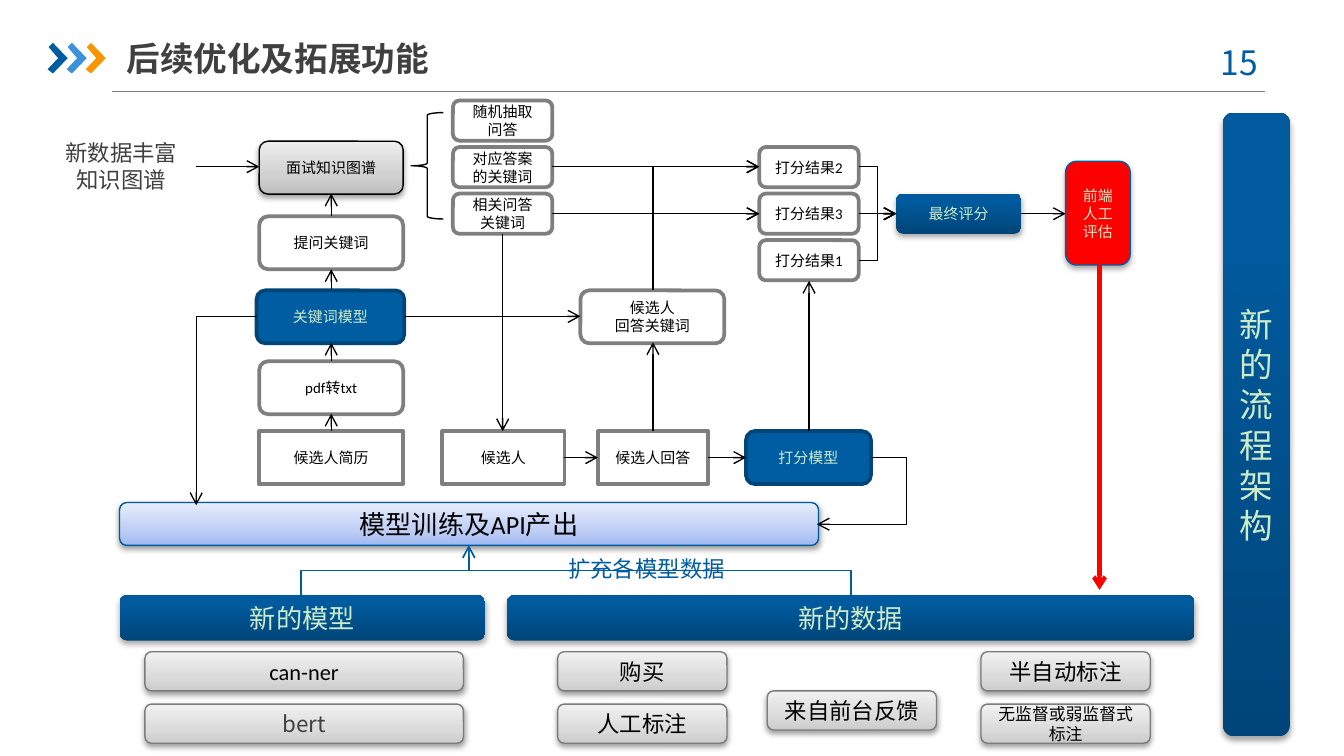
from lxml.etree import SubElement as Sub
from pptx import Presentation as Deck
from pptx.dml.color import RGBColor as RGB
from pptx.enum.shapes import MSO_CONNECTOR as Link, MSO_SHAPE as Form
from pptx.enum.text import MSO_ANCHOR as Anchor, MSO_AUTO_SIZE as Fit, PP_ALIGN as Align
from pptx.oxml.ns import qn
from pptx.util import Cm, Pt


class Theme:
    white, black, pale, dark = "FFFFFF", "000000", "CDEBC8", "404040"
    blue, navy, sky, gold = "005DA2", "004578", "3992DB", "F79600"
    edge, gray, rule, rim, red = "005B9E", "7F7F7F", "808080", "7C7C7C", "FF0000"
    deep = [(0, "004579"), (80, "005A9D"), (100, "005B9E")]
    ice = [(0, "A2BAF2"), (35, "BFCEF4"), (100, "E6ECFC")]
    mist = [(0, "CCCCCC"), (35, "DBDBDB"), (100, "F1F1F1")]
    steel = [(0, "BDBDBD"), (35, "D1D1D1"), (100, "EEEEEE")]
    latin, asian = "Calibri", "Noto Sans CJK SC"
    head, band, item, note, node = 18, 14, 12, 9, 8


def write(frame, text, size, ink, face, align=Align.CENTER, bold=False):
    frame.word_wrap = True
    for i, line in enumerate(text.split("\n")):
        para = frame.paragraphs[0] if i == 0 else frame.add_paragraph()
        para.alignment = align
        run = para.add_run()
        run.text = line
        font = run.font
        font.size, font.bold, font.name = Pt(size), bold, face
        font.color.rgb = RGB.from_string(ink)
        Sub(font._element, qn("a:ea"), typeface=Theme.asian)


def wire(start, end, turn="", adj=None, ink=Theme.black, wide=0.75, tip=True):
    (x1, y1), (x2, y2) = start, end
    if "up" in turn:
        mx, my, dx, dy = (x1 + x2) / 2, (y1 + y2) / 2, x2 - x1, y1 - y2
        x1, y1, x2, y2 = mx - dy / 2, my - dx / 2, mx + dy / 2, my + dx / 2
    kind = Link.ELBOW if turn else Link.STRAIGHT
    line = shapes.add_connector(kind, Cm(x1), Cm(y1), Cm(x2), Cm(y2))
    line.line.color.rgb = RGB.from_string(ink)
    line.line.width = Pt(wide)
    prop = line._element.spPr
    if tip:
        Sub(prop.find(qn("a:ln")), qn("a:tailEnd"), type="arrow")
    Sub(prop, qn("a:effectLst"))
    geom = prop.find(qn("a:prstGeom"))
    if "up" in turn:
        prop.find(qn("a:xfrm")).set("rot", "16200000")
    if "2" in turn:
        geom.set("prst", "bentConnector2")
    if adj is not None:
        Sub(geom.find(qn("a:avLst")), qn("a:gd"), name="adj1", fmla=f"val {adj}")


deck = Deck()
deck.slide_width, deck.slide_height = Cm(25.4), Cm(14.29)
slide = deck.slides.add_slide(deck.slide_layouts[5])
shapes = slide.shapes
slide.background.fill.solid()
slide.background.fill.fore_color.rgb = RGB.from_string(Theme.white)

title = shapes.title
title.left, title.top, title.width, title.height = Cm(2.39), Cm(0.56), Cm(14.96), Cm(1.07)
frame = title.text_frame
frame.auto_size, frame.vertical_anchor = Fit.NONE, Anchor.MIDDLE
frame.margin_left = frame.margin_right = 0
frame.margin_top = frame.margin_bottom = Cm(0.13)
write(frame, "后续优化及拓展功能", Theme.head, Theme.dark, Theme.asian, Align.LEFT, True)

wire((2.11, 1.73), (23.9, 1.73), ink=Theme.rule, tip=False)

arrow = [(0.02, 0.08), (0.1, 0), (0.38, 0.29), (0.1, 0.58), (0, 0.5), (0.2, 0.29)]
for i, ink in enumerate([Theme.blue, Theme.sky, Theme.gold]):
    spots = [(Cm(0.9 + 0.36 * i + x), Cm(0.81 + y)) for x, y in arrow]
    pen = shapes.build_freeform(*spots[0])
    pen.add_line_segments(spots[1:], close=True)
    mark = pen.convert_to_shape()
    mark.shadow.inherit = False
    mark.fill.solid()
    mark.fill.fore_color.rgb = RGB.from_string(ink)
    mark.line.fill.background()

looks = {
    "plain": (Form.ROUNDED_RECTANGLE, Theme.white, Theme.gray, 2, None, Theme.black),
    "sharp": (Form.RECTANGLE, Theme.white, Theme.gray, 2, None, Theme.black),
    "model": (Form.ROUNDED_RECTANGLE, Theme.blue, Theme.navy, 2, None, Theme.pale),
    "deep": (Form.ROUNDED_RECTANGLE, Theme.deep, None, 0, (35, 23000), Theme.pale),
    "ice": (Form.ROUNDED_RECTANGLE, Theme.ice, Theme.edge, 0.75, (38, 20000), Theme.black),
    "mist": (Form.ROUNDED_RECTANGLE, Theme.mist, Theme.rim, 0.75, (38, 20000), Theme.black),
    "steel": (Form.ROUNDED_RECTANGLE, Theme.steel, Theme.black, 0.75, (38, 20000), Theme.black),
    "alert": (Form.ROUNDED_RECTANGLE, Theme.red, Theme.blue, 0.75, (35, 23000), Theme.pale),
    "brace": (Form.LEFT_BRACE, None, Theme.black, 0.75, None, Theme.black),
}
band, item, note, node = Theme.band, Theme.item, Theme.note, Theme.node
rows = [1.9 + 0.88 * i for i in range(4)]
boxes = [
    ("模型训练及API产出", "ice", band, 2.26, 9.5, 13.21, 0.81),
    ("新的数据", "deep", band, 9.58, 11.25, 13, 0.86),
    ("新的模型", "deep", band, 2.26, 11.25, 6.91, 0.86),
    ("新的流程架构", "deep", Theme.head, 23.11, 2.13, 1.27, 11.79),
    ("购买", "mist", item, 10.54, 12.32, 3.2, 0.74),
    ("人工标注", "mist", item, 10.54, 13.31, 3.2, 0.74),
    ("半自动标注", "mist", item, 18.54, 12.32, 3.2, 0.74),
    ("无监督或弱监督式标注", "mist", note, 18.54, 13.31, 3.2, 0.74),
    ("来自前台反馈", "mist", item, 14.5, 13.06, 3.2, 0.74),
    ("can-ner", "mist", item, 2.74, 12.32, 6.02, 0.74),
    ("bert", "mist", item, 2.74, 13.31, 6.02, 0.74),
    ("候选人简历", "sharp", node, 4.9, 8.15, 2.72, 1),
    ("候选人", "sharp", node, 8.36, 8.15, 2.31, 1),
    ("候选人回答", "sharp", node, 11.3, 8.15, 2.08, 1),
    ("打分模型", "model", node, 14.1, 8.15, 2.36, 1),
    ("pdf转txt", "plain", node, 4.9, 6.83, 2.72, 1),
    ("关键词模型", "model", node, 4.85, 5.49, 2.79, 1),
    ("提问关键词", "plain", node, 4.9, 4.09, 2.72, 1),
    ("面试知识图谱", "steel", node, 4.9, 2.67, 2.72, 1),
    ("候选人\n回答关键词", "plain", node, 10.97, 5.49, 2.72, 1),
    ("最终评分", "deep", node, 16.94, 3.66, 2.36, 0.76),
    ("前端人工评估", "alert", node, 20.14, 3.05, 1.22, 1.96),
    ("", "brace", node, 7.77, 2.13, 0.61, 2.01),
]
for text, y in zip(["随机抽取问答", "对应答案的关键词", "相关问答关键词"], rows):
    boxes.append((text, "plain", node, 8.56, y, 1.88, 0.76))
for text, y in zip(["打分结果2", "打分结果3", "打分结果1"], rows[1:]):
    boxes.append((text, "plain", node, 14.35, y, 1.88, 0.76))

for text, look, size, *area in boxes:
    form, fill, edge, wide, shade, ink = looks[look]
    box = shapes.add_shape(form, *map(Cm, area))
    box.shadow.inherit = False
    prop = box._element.spPr
    if fill is None:
        box.fill.background()
    elif isinstance(fill, str):
        box.fill.solid()
        box.fill.fore_color.rgb = RGB.from_string(fill)
    else:
        box.fill.gradient()
        box.fill.gradient_angle = 90
        stops = next(prop.iter(qn("a:gsLst")))
        for old in list(stops):
            stops.remove(old)
        for pos, tone in fill:
            stop = Sub(stops, qn("a:gs"), pos=str(pos * 1000))
            Sub(stop, qn("a:srgbClr"), val=tone)
    if edge:
        box.line.color.rgb = RGB.from_string(edge)
        box.line.width = Pt(wide)
    else:
        box.line.fill.background()
    if shade:
        alpha, dist = shade
        cast = Sub(prop.find(qn("a:effectLst")), qn("a:outerShdw"), blurRad="40000",
                   dist=str(dist), dir="5400000", rotWithShape="0")
        tone = Sub(cast, qn("a:srgbClr"), val=Theme.black)
        Sub(tone, qn("a:alpha"), val=str(alpha * 1000))
    if text:
        box.text_frame.vertical_anchor = Anchor.MIDDLE
        soft = text == "bert"
        write(box.text_frame, text, size, Theme.dark if soft else ink,
              Theme.asian if soft else Theme.latin)

for start, end in [
    ((6.26, 8.15), (6.26, 7.82)), ((6.26, 6.83), (6.26, 6.48)),
    ((6.26, 5.49), (6.26, 5.09)), ((6.26, 4.09), (6.26, 3.66)),
    ((10.66, 8.65), (11.3, 8.65)), ((13.38, 8.65), (14.1, 8.65)),
    ((9.5, 4.42), (9.5, 8.15)), ((12.34, 8.15), (12.34, 6.47)),
    ((7.64, 5.98), (10.97, 5.98)), ((15.29, 8.15), (15.29, 5.31)),
    ((10.44, 3.15), (14.35, 3.15)), ((10.44, 4.04), (14.35, 4.04)),
    ((3.71, 3.15), (4.9, 3.15)), ((16.23, 4.04), (16.94, 4.04)),
    ((19.3, 4.04), (20.14, 4.04)),
]:
    wire(start, end)
for y in (3.15, 4.04):
    wire((12.34, 5.49), (14.35, y), "up2")
for y in (3.15, 4.93):
    wire((16.23, y), (16.94, 4.04), "side3")
wire((4.85, 5.98), (3.71, 9.55), "side2")
wire((16.46, 8.65), (15.44, 9.91), "side3", -65600)
for x in (16.08, 5.69):
    wire((x, 11.25), (8.86, 10.31), "up3", ink=Theme.edge)
wire((20.78, 5), (20.78, 11.15), ink=Theme.red, wide=2.25)

for text, size, ink, align, *area in [
    ("15", Theme.head, Theme.blue, Align.CENTER, 22.5, 0.66, 1.85, 1.02),
    ("扩充各模型数据", item, Theme.blue, Align.LEFT, 10.49, 10.36, 3.5, 0.76),
    ("新数据丰富知识图谱", item, Theme.dark, Align.CENTER, 0.91, 2.51, 2.77, 1.27),
]:
    label = shapes.add_textbox(*map(Cm, area))
    write(label.text_frame, text, size, ink, Theme.asian, align)

deck.save("out.pptx")
